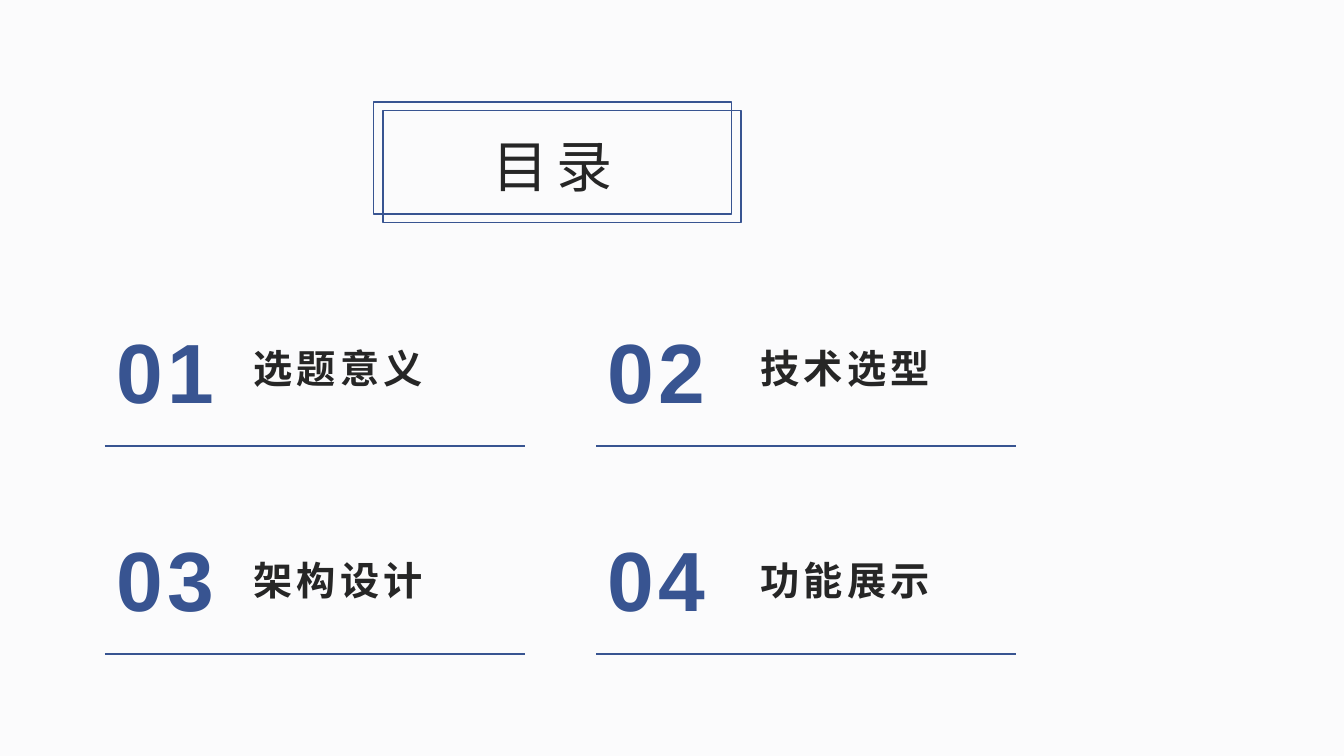
from lxml import etree
from pptx import Presentation
from pptx import util as u
from pptx.dml.color import RGBColor
from pptx.enum import shapes, text
from pptx.oxml.ns import qn

PX = 9525  # 96 px to the inch
COLORS = {"paper": "FBFBFC", "ink": "262626", "blue": "385491"}
FONT = "Arial"
TOPICS = ["选题意义", "技术选型", "架构设计", "功能展示"]


def px(*nums):
    return [u.Emu(n * PX) for n in nums]


def color(name):
    return RGBColor.from_string(COLORS[name])


def write(box, words, size, hue="ink", bold=False, gap=3, lead=1.0, wrap=True,
          align=text.PP_ALIGN.CENTER, anchor=text.MSO_ANCHOR.MIDDLE):
    """Put one formatted line of text in a box; gap is letter spacing in points."""
    frame = box.text_frame
    frame.auto_size = text.MSO_AUTO_SIZE.NONE
    frame.word_wrap = wrap
    frame.vertical_anchor = anchor
    para = frame.paragraphs[0]
    para.alignment = align
    para.line_spacing = lead
    run = para.add_run()
    run.text = words
    font = run.font
    font.name, font.size, font.bold = FONT, u.Pt(size), bold
    font.color.rgb = color(hue)
    run._r.get_or_add_rPr().set("spc", str(gap * 100))


def add_frame(slide, x, y):
    rect = slide.shapes.add_shape(shapes.MSO_SHAPE.RECTANGLE, *px(x, y, 341, 107))
    rect.shadow.inherit = False
    rect.fill.background()
    rect.line.color.rgb = color("blue")
    rect.line.width = u.Pt(1)


def add_rule(slide, x, y, width):
    rule = slide.shapes.add_connector(
        shapes.MSO_CONNECTOR.STRAIGHT, *px(x, y, x + width, y))
    rule.line.color.rgb = color("blue")
    rule.line.width = u.Pt(1.5)
    etree.SubElement(rule._element.spPr, qn("a:effectLst"))


def add_title(slide, words):
    title = slide.shapes.title
    title.left, title.top, title.width, title.height = px(409, 120, 235, 74)
    write(title, words, 40, gap=6)


def add_topic(slide, index, words):
    row, col = divmod(index, 2)
    label = slide.shapes.add_textbox(*px(232 + 483 * col, 320 + 202 * row, 280, 53))
    label.text_frame.margin_bottom = 0
    write(label, words, 28, bold=True, lead=1.3,
          align=text.PP_ALIGN.LEFT, anchor=text.MSO_ANCHOR.BOTTOM)

    x, y = 99 + 468 * col, 299 + 198 * row
    number = slide.shapes.add_textbox(*px(x, y, 117, 107))
    write(number, f"{index + 1:02}", 60, hue="blue", bold=True, wrap=False)
    add_rule(slide, x + 1, y + 126, 400)


def main():
    deck = Presentation()
    deck.slide_width, deck.slide_height = px(1280, 720)
    slide = deck.slides.add_slide(deck.slide_layouts[5])
    slide.background.fill.solid()
    slide.background.fill.fore_color.rgb = color("paper")

    for index, words in enumerate(TOPICS):
        add_topic(slide, index, words)
    add_frame(slide, 356, 97)
    add_frame(slide, 365, 105)
    add_title(slide, "目录")
    deck.save("out.pptx")


if __name__ == "__main__":
    main()
